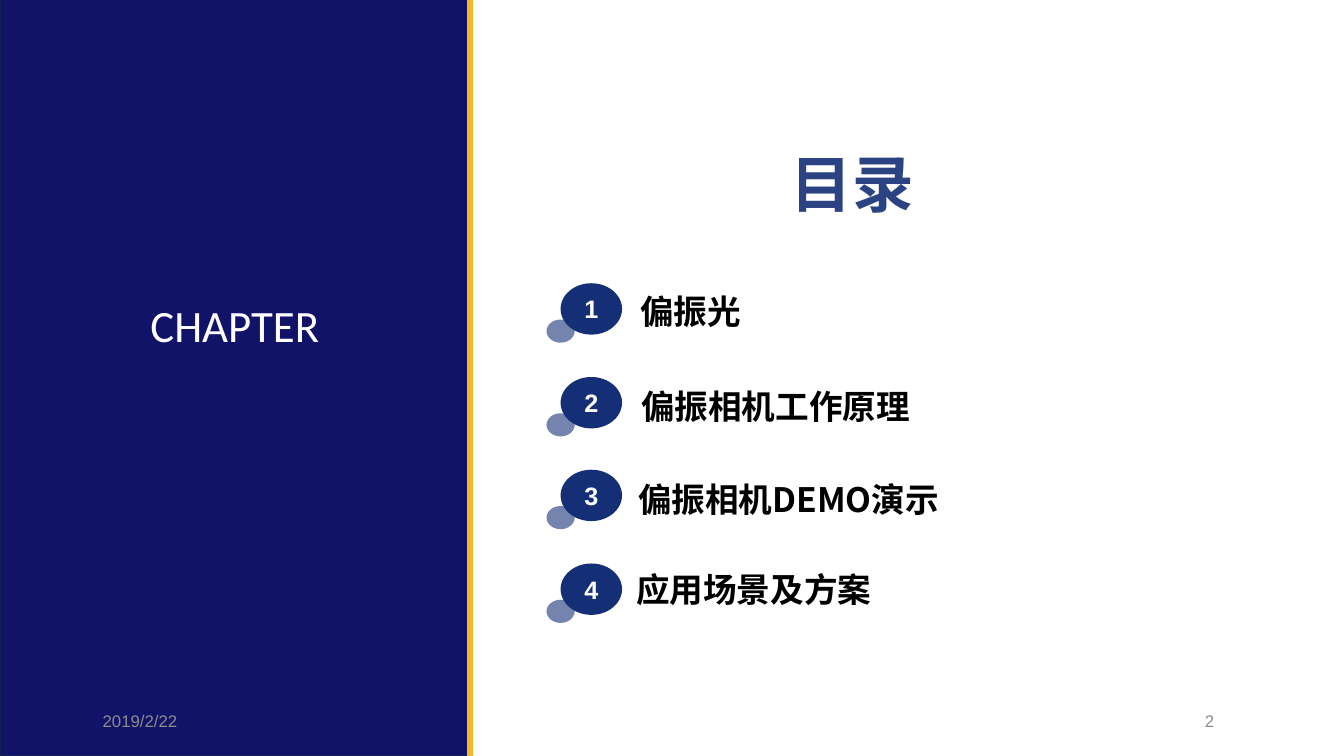
"""Build the contents slide: a navy chapter panel beside four numbered topics."""
import pptx
import pptx.util
import pptx.dml.color
import pptx.enum.shapes
import pptx.enum.text
import pptx.oxml.ns
import lxml.etree

PX = 9144
THEME = {
    "panel": "111368", "panel_edge": "102357", "divider": "F8B62B",
    "accent": "152F76", "footer": "8C8C8C", "white": "FFFFFF", "black": "000000",
    "title_size": 44, "chapter_size": 32, "topic_size": 24, "number_size": 18,
    "footer_size": 12, "divider_width": 4.5,
    "sans": "Arial", "chapter_font": "Calibri", "chinese": "Noto Sans CJK SC",
}
ALIGN = pptx.enum.text.PP_ALIGN
SHAPES = pptx.enum.shapes.MSO_SHAPE


def paint(fill, color, opacity=100):
    """Give a fill a solid colour with the given opacity in percent."""
    fill.solid()
    fill.fore_color.rgb = pptx.dml.color.RGBColor.from_string(color)
    if opacity < 100:
        for node in fill._xPr.iter(pptx.oxml.ns.qn("a:srgbClr")):
            lxml.etree.SubElement(node, pptx.oxml.ns.qn("a:alpha"), val=str(opacity * 1000))


def write(box, text, size, color, font, align=ALIGN.LEFT, bold=False, opacity=100):
    """Write one vertically centred paragraph and return it."""
    frame = box.text_frame
    frame.word_wrap = True
    frame.vertical_anchor = pptx.enum.text.MSO_ANCHOR.MIDDLE
    para = frame.paragraphs[0]
    para.alignment = align
    span = para.add_run()
    span.text = text
    span.font.size = pptx.util.Pt(size)
    span.font.bold = bold
    span.font.name = font
    paint(span.font.fill, color, opacity)
    lxml.etree.SubElement(span.font._element, pptx.oxml.ns.qn("a:ea"), typeface=THEME["chinese"])
    return para


deck = pptx.Presentation()
deck.slide_width = 1333 * PX
deck.slide_height = 750 * PX
page = deck.slides.add_slide(deck.slide_layouts[6])
shapes = page.shapes

panel = shapes.add_shape(SHAPES.RECTANGLE, 0, -2 * PX, 464 * PX, 752 * PX)
panel.shadow.inherit = False
paint(panel.fill, THEME["panel"])
paint(panel.line.fill, THEME["panel_edge"])
panel.line.width = pptx.util.Pt(1)

for left, text, align in [(92, "2019/2/22", ALIGN.LEFT), (914, "2", ALIGN.RIGHT)]:
    footer = shapes.add_textbox(left * PX, 695 * PX, 300 * PX, 40 * PX)
    write(footer, text, THEME["footer_size"], THEME["footer"], THEME["sans"], align)

chapter = shapes.add_textbox(0, 140 * PX, 466 * PX, 480 * PX)
chapter.text_frame.margin_bottom = 115 * PX
heading = write(chapter, "CHAPTER", THEME["chapter_size"], THEME["white"],
                THEME["chapter_font"], ALIGN.CENTER)
heading.line_spacing = 0.9

divider = shapes.add_connector(pptx.enum.shapes.MSO_CONNECTOR.STRAIGHT,
                               466 * PX, -5 * PX, 466 * PX, 751 * PX)
paint(divider.line.fill, THEME["divider"])
divider.line.width = pptx.util.Pt(THEME["divider_width"])
lxml.etree.SubElement(divider._element.spPr, pptx.oxml.ns.qn("a:effectLst"))

title = shapes.add_textbox(617 * PX, 147 * PX, 457 * PX, 68 * PX)
write(title, "目录", THEME["title_size"], THEME["accent"], THEME["sans"],
      ALIGN.CENTER, bold=True, opacity=90)

topics = [
    ("偏振光", 625, 294, 395, 29),
    ("偏振相机工作原理", 626, 380, 515, 45),
    ("偏振相机DEMO演示", 623, 473, 725, 45),
    ("应用场景及方案", 621, 570, 395, 29),
]
for index, (text, left, top, width, height) in enumerate(topics):
    topic = shapes.add_textbox(left * PX, top * PX, width * PX, height * PX)
    write(topic, text, THEME["topic_size"], THEME["black"], THEME["chinese"], bold=True)

    badge_top = 281 + round(92.7 * index)
    dot_top = [317, 410, 502, 595][index]
    badge = shapes.add_shape(SHAPES.OVAL, 556 * PX, badge_top * PX, 61 * PX, 51 * PX)
    dot = shapes.add_shape(SHAPES.OVAL, 542 * PX, dot_top * PX, 28 * PX, 23 * PX)
    for oval, opacity in [(badge, 100), (dot, 59)]:
        oval.shadow.inherit = False
        oval.line.fill.background()
        paint(oval.fill, THEME["accent"], opacity)
    write(badge, str(index + 1), THEME["number_size"], THEME["white"], THEME["sans"],
          ALIGN.CENTER, bold=True)
    badge.text_frame.word_wrap = False

deck.save("out.pptx")
